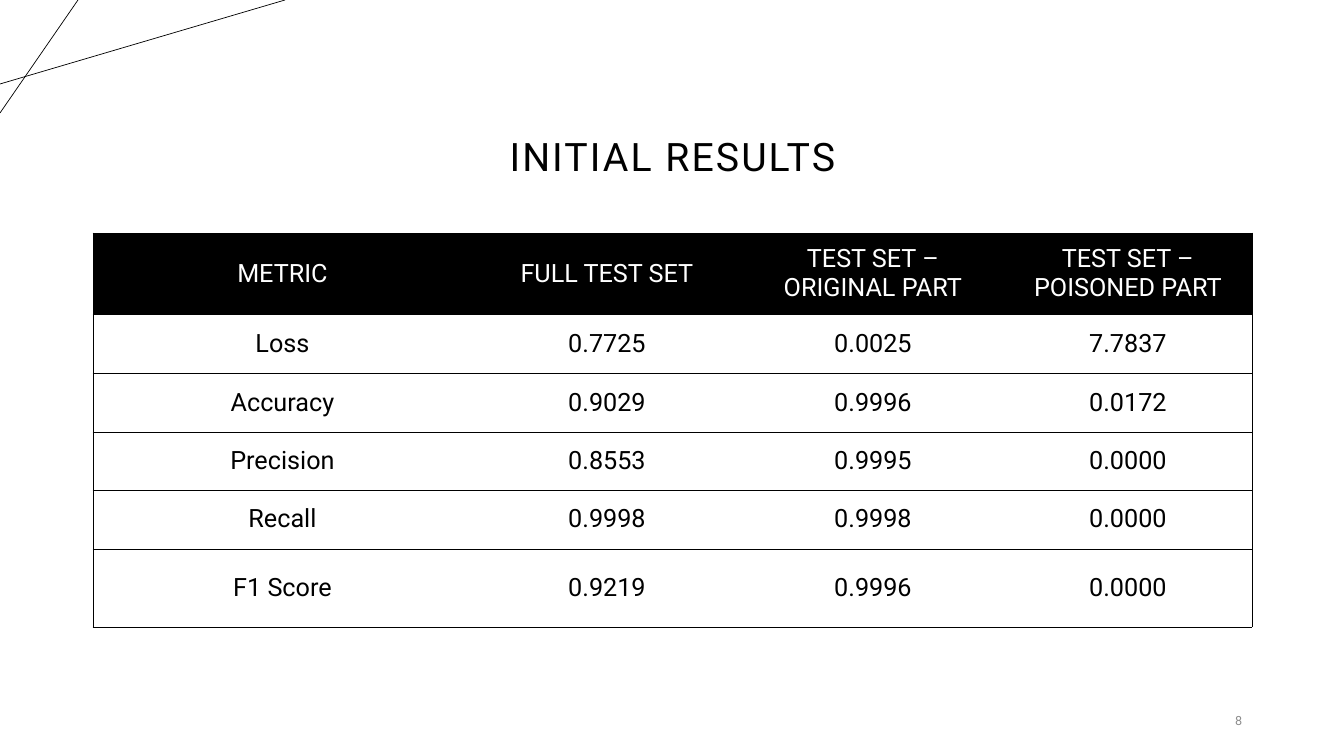
import pptx
import pptx.util
import pptx.dml.color
import pptx.enum.shapes
import pptx.enum.text
import pptx.oxml.ns
from lxml import etree

PX = 914400 / 100.8
BLACK, WHITE, GREY = "000000", "FFFFFF", "8C8C8C"
ALIGN = pptx.enum.text.PP_ALIGN
ANCHOR = pptx.enum.text.MSO_ANCHOR

COLUMN_WIDTHS = [379, 270, 262, 248]
ROW_HEIGHTS = [81, 59, 59, 58, 59, 78]
RESULTS = [
    ["METRIC", "FULL TEST SET", "TEST SET – ORIGINAL PART", "TEST SET – POISONED PART"],
    ["Loss", "0.7725", "0.0025", "7.7837"],
    ["Accuracy", "0.9029", "0.9996", "0.0172"],
    ["Precision", "0.8553", "0.9995", "0.0000"],
    ["Recall", "0.9998", "0.9998", "0.0000"],
    ["F1 Score", "0.9219", "0.9996", "0.0000"],
]


def px(n):
    return pptx.util.Emu(round(n * PX))


def rgb(color):
    return pptx.dml.color.RGBColor.from_string(color)


def write(tf, text, size, color, align=ALIGN.CENTER):
    p = tf.paragraphs[0]
    p.alignment = align
    r = p.add_run()
    r.text = text
    for name, value in {"name": "Roboto", "size": pptx.util.Pt(size)}.items():
        setattr(r.font, name, value)
    r.font.color.rgb = rgb(color)
    return p, r


def add_text(slide, box, text, size, color, align, anchor):
    tf = slide.shapes.add_textbox(*map(px, box)).text_frame
    for name, value in {"word_wrap": True, "vertical_anchor": anchor}.items():
        setattr(tf, name, value)
    return write(tf, text, size, color, align)


def add_corner_lines(slide, box):
    x, y, w, h = box
    # Shallow and steep strokes across the corner
    for ends in [(x, y + 84, x + w, y), (x + 78, y, x, y + h)]:
        line = slide.shapes.add_connector(
            pptx.enum.shapes.MSO_CONNECTOR.STRAIGHT, *map(px, ends))
        line.line.color.rgb = rgb(BLACK)
        line.line.width = pptx.util.Pt(0.5)
        etree.SubElement(line._element.spPr, pptx.oxml.ns.qn("a:effectLst"))


def add_title(slide, box):
    p, r = add_text(slide, box, "INITIAL RESULTS", 28, BLACK, ALIGN.CENTER, ANCHOR.BOTTOM)
    p.line_spacing = 0.9
    r.font._element.set("spc", "150")


def set_borders(cell, visible):
    qn = pptx.oxml.ns.qn
    tcPr = cell._tc.get_or_add_tcPr()
    for side in "LRTB":
        ln = etree.SubElement(tcPr, qn(f"a:ln{side}"), w=str(pptx.util.Pt(0.5)))
        if side in visible:
            fill = etree.SubElement(ln, qn("a:solidFill"))
            etree.SubElement(fill, qn("a:srgbClr"), val=BLACK)
        else:
            etree.SubElement(ln, qn("a:noFill"))


def add_results_table(slide, box):
    table = slide.shapes.add_table(len(RESULTS), len(COLUMN_WIDTHS), *map(px, box)).table
    table.horz_banding = False
    for column, width in zip(table.columns, COLUMN_WIDTHS):
        column.width = px(width)
    for row, height in zip(table.rows, ROW_HEIGHTS):
        row.height = px(height)

    # Horizontal rules everywhere, vertical ones only on the outer sides
    last = len(COLUMN_WIDTHS) - 1
    for i, values in enumerate(RESULTS):
        for j, value in enumerate(values):
            cell = table.cell(i, j)
            set_borders(cell, "TB" + {0: "L", last: "R"}.get(j, ""))
            cell.fill.solid()
            cell.fill.fore_color.rgb = rgb(WHITE if i else BLACK)
            cell.vertical_anchor = ANCHOR.MIDDLE
            _, r = write(cell.text_frame, value, 18, BLACK if i else WHITE)
            r.font.bold = False


def add_slide_number(slide, box):
    add_text(slide, box, "8", 9, GREY, ALIGN.RIGHT, ANCHOR.MIDDLE)


def main():
    prs = pptx.Presentation()
    prs.slide_width, prs.slide_height = px(1344), px(756)
    slide = prs.slides.add_slide(prs.slide_layouts[6])
    add_corner_lines(slide, (0, 0, 285, 113))
    add_title(slide, (93, 39, 1159, 146))
    add_results_table(slide, (93, 233, 1159, 394))
    add_slide_number(slide, (1143, 701, 109, 40))
    prs.save("out.pptx")


if __name__ == "__main__":
    main()
